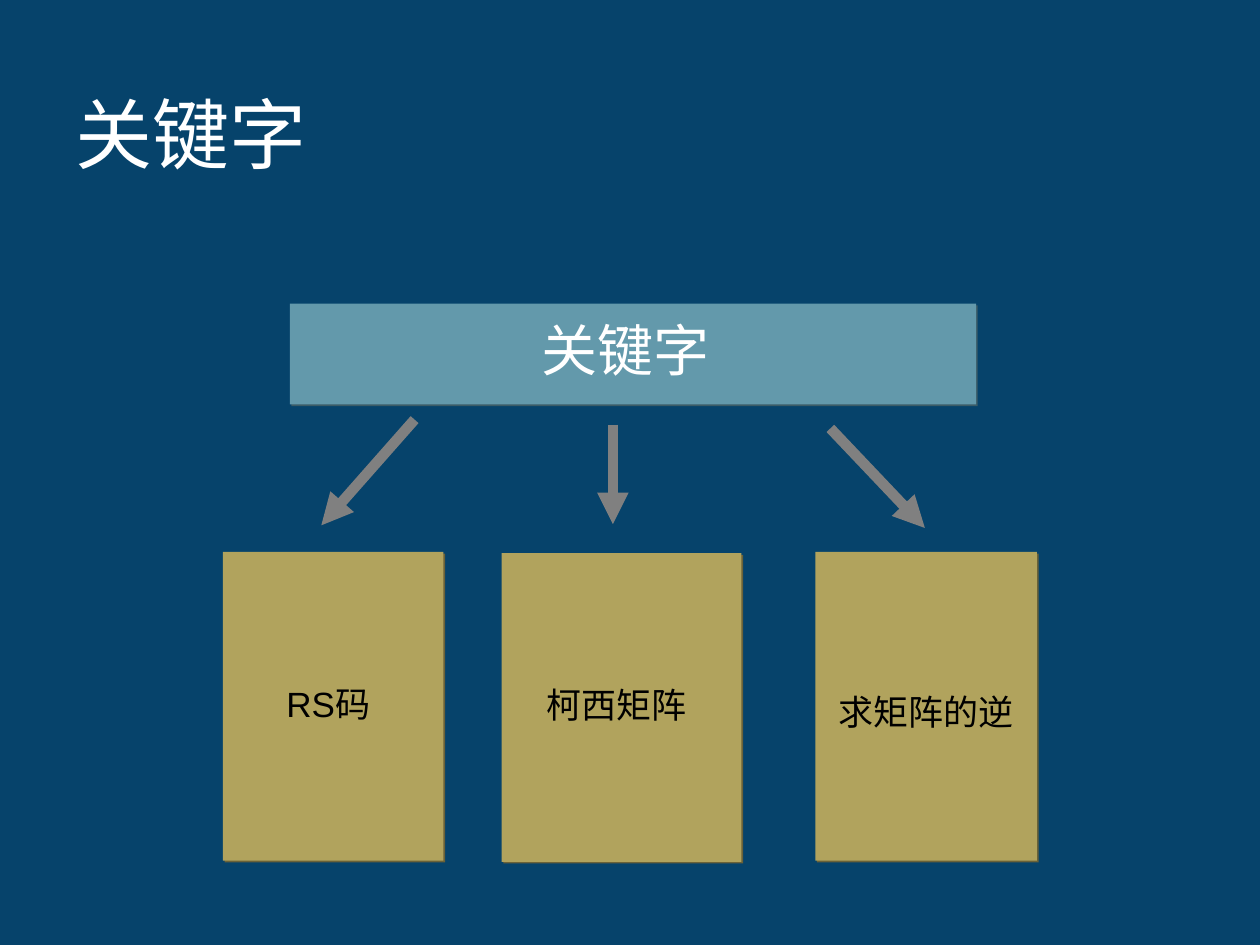
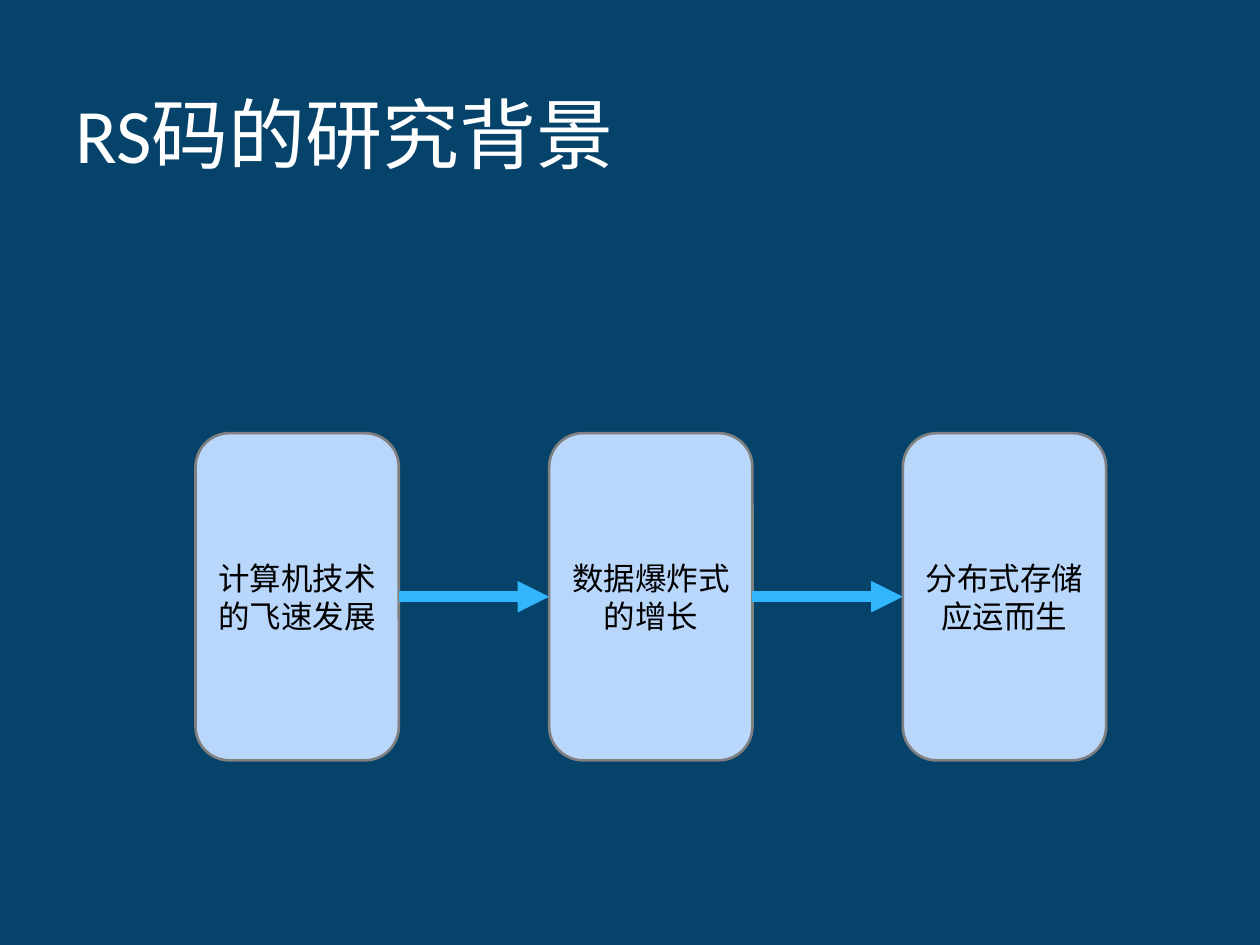
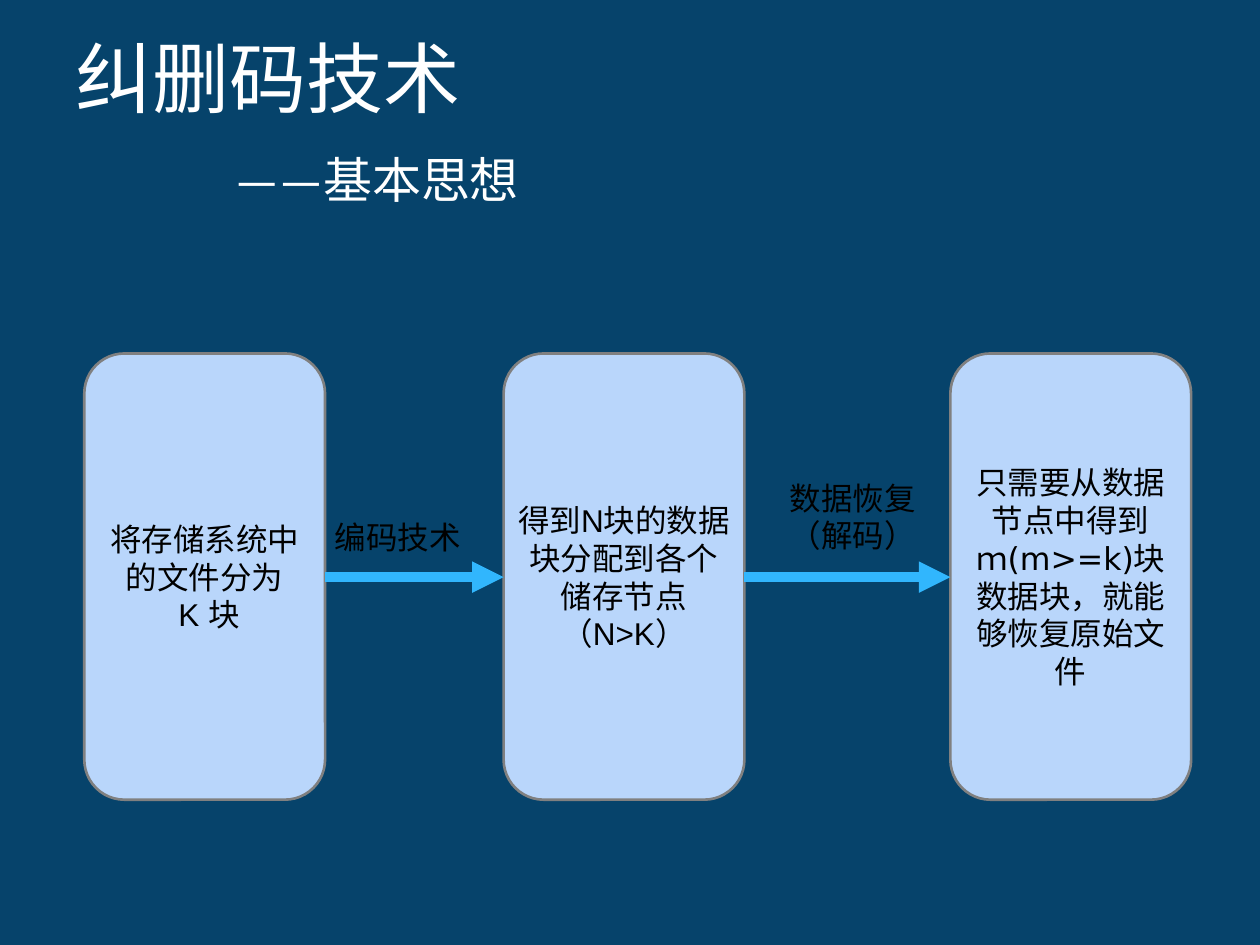
import dataclasses

import lxml.etree
import pptx
import pptx.dml.color
import pptx.enum.shapes
import pptx.enum.text
import pptx.oxml.ns
import pptx.util

Pt = pptx.util.Pt
qn = pptx.oxml.ns.qn
SHAPES = pptx.enum.shapes.MSO_SHAPE
ALIGN = pptx.enum.text.PP_ALIGN
ANCHOR = pptx.enum.text.MSO_ANCHOR


@dataclasses.dataclass(frozen=True)
class Theme:
    background: str = "06436B"
    light: str = "FFFFFF"
    dark: str = "000000"
    banner: str = "6399AB"
    banner_shadow: str = "3B5C67"
    card: str = "B1A35D"
    card_shadow: str = "6A6238"
    step: str = "B9D6FB"
    grey: str = "808080"
    flow: str = "31B6FD"
    title_font: str = "Calibri"
    card_font: str = "Arial"
    step_font: str = "DejaVu Sans"
    note_font: str = "Noto Sans CJK SC"
    title_size: float = 44
    subtitle_size: float = 28
    banner_size: float = 32
    card_size: float = 20
    step_size: float = 18


def color(value):
    return pptx.dml.color.RGBColor.from_string(value)


class Deck:
    def __init__(self, theme):
        self.theme = theme
        self.presentation = pptx.Presentation()
        self.presentation.slide_width = Pt(720)
        self.presentation.slide_height = Pt(540)
        self.slide = None

    def add_slide(self):
        self.slide = self.presentation.slides.add_slide(self.presentation.slide_layouts[6])
        fill = self.slide.background.fill
        fill.solid()
        fill.fore_color.rgb = color(self.theme.background)

    def frame(self, shape, anchor, side=7.2, top=3.6):
        frame = shape.text_frame
        frame.word_wrap = True
        frame.vertical_anchor = anchor
        frame.margin_left = frame.margin_right = Pt(side)
        frame.margin_top, frame.margin_bottom = Pt(top), Pt(3.6)
        return frame

    def add_text(self, paragraph, text, size, font, ink, align=ALIGN.LEFT):
        paragraph.alignment = align
        run = paragraph.add_run()
        run.text = text
        run.font.size = Pt(size)
        run.font.color.rgb = color(ink)
        run.font.name = font
        properties = run._r.get_or_add_rPr()
        lxml.etree.SubElement(properties, qn("a:ea"), typeface=font)

    def title(self, text, subtitle=None, top=26.6, height=98.6):
        theme = self.theme
        box = self.slide.shapes.add_textbox(Pt(36), Pt(top), Pt(648), Pt(height))
        frame = self.frame(box, ANCHOR.MIDDLE)
        self.add_text(frame.paragraphs[0], text, theme.title_size, theme.title_font, theme.light)
        if subtitle:
            paragraph = frame.add_paragraph()
            paragraph.space_before = Pt(15)
            properties = paragraph._p.get_or_add_pPr()
            properties.set("marL", str(Pt(91)))
            properties.set("indent", "0")
            self.add_text(paragraph, subtitle, theme.subtitle_size, theme.title_font, theme.light)

    def block(self, kind, bounds, fill):
        shape = self.slide.shapes.add_shape(kind, *map(Pt, bounds))
        shape.shadow.inherit = False
        shape.fill.solid()
        shape.fill.fore_color.rgb = color(fill)
        return shape

    def panel(self, text, bounds, fill, shadow, size, ink, top=3.6):
        shape = self.block(SHAPES.RECTANGLE, bounds, fill)
        shape.line.fill.background()
        effects = shape._element.spPr.find(qn("a:effectLst"))
        outer = lxml.etree.SubElement(
            effects, qn("a:outerShdw"), dist=str(Pt(1.4)), dir="2700000", algn="ctr", rotWithShape="0")
        lxml.etree.SubElement(outer, qn("a:srgbClr"), val=shadow)
        paragraph = self.frame(shape, ANCHOR.MIDDLE, 3.6, top).paragraphs[0]
        paragraph.line_spacing = 0.85
        self.add_text(paragraph, text, size, self.theme.card_font, ink, ALIGN.CENTER)

    def step(self, lines, bounds, font):
        theme = self.theme
        shape = self.block(SHAPES.ROUNDED_RECTANGLE, bounds, theme.step)
        shape.line.color.rgb = color(theme.grey)
        shape.line.width = Pt(1.5)
        frame = self.frame(shape, ANCHOR.MIDDLE, 1)
        for index, line in enumerate(lines):
            paragraph = frame.add_paragraph() if index else frame.paragraphs[0]
            self.add_text(paragraph, line, theme.step_size, font, theme.dark, ALIGN.CENTER)

    def arrow(self, start, end, ink):
        connector = self.slide.shapes.add_connector(
            pptx.enum.shapes.MSO_CONNECTOR.STRAIGHT, *map(Pt, start + end))
        connector.line.color.rgb = color(ink)
        connector.line.width = Pt(6)
        properties = connector._element.spPr
        lxml.etree.SubElement(properties.find(qn("a:ln")), qn("a:tailEnd"), type="triangle")
        lxml.etree.SubElement(properties, qn("a:effectLst"))

    def flow(self, steps, lefts, top, width, height, arrow_y):
        for (lines, font), left in zip(steps, lefts):
            self.step(lines, (left, top, width, height), font)
        for left, following in zip(lefts, lefts[1:]):
            self.arrow((left + width, arrow_y), (following, arrow_y), self.theme.flow)

    def label(self, text, bounds, font):
        box = self.slide.shapes.add_textbox(*map(Pt, bounds))
        paragraph = self.frame(box, ANCHOR.TOP).paragraphs[0]
        self.add_text(paragraph, text, self.theme.step_size, font, self.theme.dark)


def keywords_slide(deck):
    theme = deck.theme
    deck.add_slide()
    deck.title("关键字")
    deck.panel("关键字 ", (165.6, 173.6, 392.2, 57.6), theme.banner, theme.banner_shadow,
               theme.banner_size, theme.light)
    cards = [
        ("RS码 ", 127.4, 315.4, 126, 3.6),
        ("柯西矩阵 ", 286.7, 316.1, 137, 3.6),
        ("求矩阵的逆", 465.9, 315.4, 126.7, 13.6),
    ]
    for text, left, top, width, inset in cards:
        deck.panel(text, (left, top, width, 176.4), theme.card, theme.card_shadow,
                   theme.card_size, theme.dark, inset)
    arrows = [
        ((236.9, 239.8), (183.6, 300.2)),
        ((350.2, 242.6), (350.2, 299.5)),
        ((474.5, 244.8), (528.5, 301.7)),
    ]
    for start, end in arrows:
        deck.arrow(start, end, theme.grey)


def background_slide(deck):
    deck.add_slide()
    deck.title("RS码的研究背景")
    texts = ["计算机技术的飞速发展", "数据爆炸式的增长", "分布式存储应运而生"]
    steps = [([text], deck.theme.step_font) for text in texts]
    lefts = [111.7 + 202.1 * column for column in range(3)]
    deck.flow(steps, lefts, 247.5, 116.2, 187, 341)


def erasure_slide(deck):
    theme = deck.theme
    deck.add_slide()
    deck.title("纠删码技术", "——基本思想", 0.7, 135)
    steps = [
        (["将存储系统中的文件分为", " K 块"], theme.card_font),
        (["得到N块的数据块分配到各个储存节点", "（N>K）"], theme.card_font),
        (["只需要从数据节点中得到", "ｍ(m>=k)块数据块，就能够恢复原始文件"], theme.step_font),
    ]
    deck.flow(steps, [48.2, 287.8, 543.1], 202, 137.6, 255, 329.8)
    deck.label("编码技术", (184.3, 292.3, 92.2, 28.8), theme.title_font)
    deck.label("数据恢复（解码）", (444.2, 270, 97.2, 72), theme.note_font)


def main():
    deck = Deck(Theme())
    keywords_slide(deck)
    background_slide(deck)
    erasure_slide(deck)
    deck.presentation.save("out.pptx")


if __name__ == "__main__":
    main()
